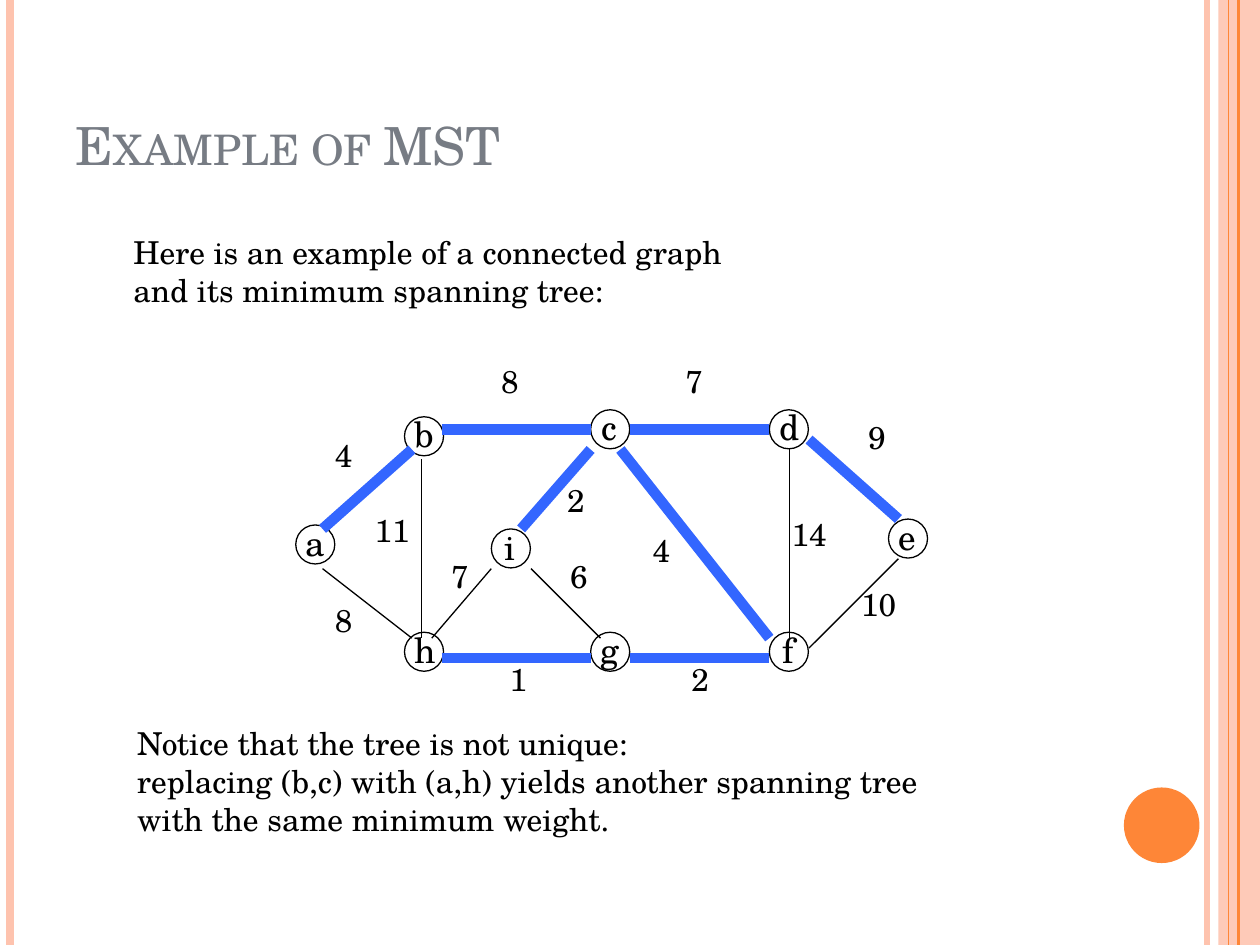
"""Build a slide showing a weighted graph and its minimum spanning tree."""
from lxml import etree
from pptx import Presentation
from pptx.dml.color import RGBColor
from pptx.enum.shapes import MSO_CONNECTOR, MSO_SHAPE
from pptx.enum.text import MSO_ANCHOR, PP_ALIGN
from pptx.oxml.ns import qn
from pptx.util import Inches, Pt

STRAIGHT, OVAL, RECTANGLE = MSO_CONNECTOR.STRAIGHT, MSO_SHAPE.OVAL, MSO_SHAPE.RECTANGLE
LEFT, CENTER = PP_ALIGN.LEFT, PP_ALIGN.CENTER
FONT = "TeX Gyre Schola"
BLACK, BLUE, ORANGE, PEACH, GRAY = "000000", "3366FF", "FE8637", "FEC3AE", "777C84"
WIDTH, HEIGHT = 10, 7.5
UNIT, GRID_LEFT, GRID_TOP = 0.0788, 2.56, 3.41
NODE_SIZE = 0.31

presentation = Presentation()
presentation.slide_width, presentation.slide_height = Inches(WIDTH), Inches(HEIGHT)
slide = presentation.slides.add_slide(presentation.slide_layouts[5])
shapes = slide.shapes


def add_line(start, end, color, width):
    line = shapes.add_connector(STRAIGHT, *map(Inches, (*start, *end)))
    line.line.color.rgb = RGBColor.from_string(color)
    line.line.width = Pt(width)
    etree.SubElement(line._element.spPr, qn("a:effectLst"))
    return line


def add_text(lines, left, top, width, height, size=18, align=LEFT):
    frame = shapes.add_textbox(*map(Inches, (left, top, width, height))).text_frame
    frame.word_wrap = True
    frame.text = "\n".join(lines)
    for paragraph in frame.paragraphs:
        paragraph.alignment = align
        paragraph.font.name = FONT
        paragraph.font.size = Pt(size)
        paragraph.font.color.rgb = RGBColor.from_string(BLACK)


stripes = [(9.58, PEACH, 3), (0.08, PEACH, 4.5), (9.83, ORANGE, 1.5), (9.75, ORANGE, 0.75)]
decorations = [(RECTANGLE, (9.67, 0, 0.33, HEIGHT), PEACH), (OVAL, (8.92, 6.25, 0.6, 0.6), ORANGE)]
for kind, box, color in decorations:
    decoration = shapes.add_shape(kind, *map(Inches, box))
    decoration.shadow.inherit = False
    decoration.fill.solid()
    decoration.fill.fore_color.rgb = RGBColor.from_string(color)
    decoration.line.fill.background()
    if kind == RECTANGLE:
        band_color = decoration._element.spPr.find(".//" + qn("a:srgbClr"))
        etree.SubElement(band_color, qn("a:alpha"), val="87000")
for x, color, width in stripes:
    add_line((x, 0), (x, HEIGHT), color, width)

title = shapes.title
title.left, title.top, title.width, title.height = map(Inches, (0.5, 0.27, 8.42, 1.25))
title.text_frame.text = "Example of MST"
title.text_frame.vertical_anchor = MSO_ANCHOR.BOTTOM
title.text_frame.margin_bottom = Inches(0.12)
heading = title.text_frame.paragraphs[0]
heading.alignment = LEFT
heading.font.name = FONT
heading.font.size = Pt(30)
heading.font.color.rgb = RGBColor.from_string(GRAY)
heading.runs[0]._r.get_or_add_rPr().set("cap", "small")

add_text(["Here is an example of a connected graph", "and its minimum spanning tree:"], 0.96, 1.8, 5.71, 0.9)

nodes = {
    "a": (-2.7, 9.6), "b": (8.25, -1.3), "h": (8.25, 20.4),
    "c": (27, -2), "d": (45, -2), "e": (57, 9),
    "f": (45, 20.4), "g": (27, 20.4), "i": (17, 10),
}
for name, (column, row) in nodes.items():
    left, top = GRID_LEFT + column * UNIT, GRID_TOP + row * UNIT
    add_text([name], left - 0.02, top - 0.08, 0.34, 0.43, 20, CENTER)
    circle = shapes.add_shape(OVAL, *map(Inches, (left, top, NODE_SIZE, NODE_SIZE)))
    circle.shadow.inherit = False
    circle.fill.background()
    circle.line.color.rgb = RGBColor.from_string(BLACK)
    circle.line.width = Pt(0.75)

edges = [
    ((0, 10), (9, 2), "4", (0, 0), True),
    ((0, 14), (9, 21), "8", (0, 16.6), False),
    ((10, 3), (10, 21), "11", (4, 7.6), False),
    ((12, 0), (27, 0), "8", (16.75, -7.4), True),
    ((12, 23), (27, 23), "1", (17.6, 22.6), True),
    ((31, 23), (45, 23), "2", (35.9, 22.6), True),
    ((30, 2), (45, 21), "4", (32, 9.6), True),
    ((31, 0), (45, 0), "7", (35.3, -7.4), True),
    ((47, 2), (47, 21), "14", (46, 8), False),
    ((49, 1), (58, 9), "9", (53.7, -1.8), True),
    ((49, 22), (58, 13), "10", (53, 15), False),
    ((21, 14), (28, 21), "6", (23.7, 12.2), False),
    ((11, 21), (17, 14), "7", (11.7, 12.2), False),
    ((20, 10), (27, 2), "2", (23.4, 4.6), True),
]
for start, end, weight, label, in_tree in edges:
    start, end, label = [
        (GRID_LEFT + column * UNIT, GRID_TOP + row * UNIT) for column, row in (start, end, label)
    ]
    add_line(start, end, BLUE if in_tree else BLACK, 6 if in_tree else 0.75)
    add_text([weight], *label, 0.21 + 0.16 * len(weight), 0.5)

add_text(
    [
        "Notice that the tree is not unique:",
        "replacing (b,c) with (a,h) yields another spanning tree",
        "with the same minimum weight.",
    ],
    0.99, 5.7, 7.43, 1.3,
)
presentation.save("out.pptx")
